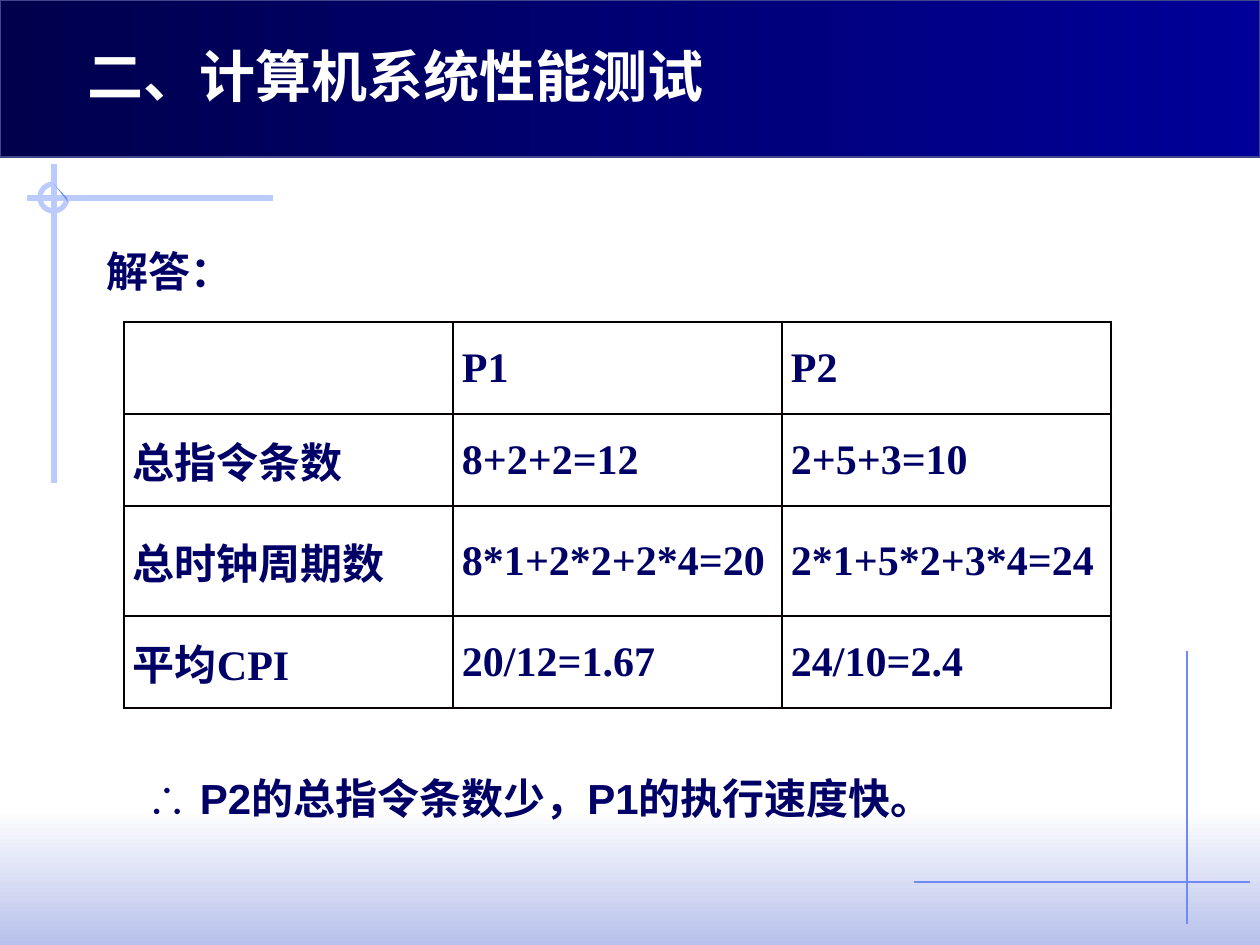
from lxml.etree import SubElement
from pptx import Presentation
from pptx.dml.color import RGBColor
from pptx.enum.shapes import MSO_CONNECTOR as Connector, MSO_SHAPE as Shape
from pptx.enum.text import MSO_ANCHOR as Anchor
from pptx.oxml.ns import qn
from pptx.util import Pt

SCALE = 914400 / 126
CJK = "Noto Sans CJK JP"
NAVY, PALE, BLUE, WHITE = "000066", "BBCBFD", "6F89F7", "FFFFFF"
ROWS = [
    ["", "P1", "P2"],
    ["总指令条数", "8+2+2=12", "2+5+3=10"],
    ["总时钟周期数", "8*1+2*2+2*4=20", "2*1+5*2+3*4=24"],
    ["平均CPI", "20/12=1.67", "24/10=2.4"],
]
ROW_HEIGHTS = [92, 92, 110, 92]


def px(*lengths):
    """Turn pixel lengths into a list of EMU."""
    return [round(length * SCALE) for length in lengths]


def color(value):
    """Turn a hex string into a colour."""
    return RGBColor.from_string(value)


def add_span(para, text, size, font, ink):
    """Add one bold run to a paragraph."""
    span = para.add_run()
    span.text = text
    span.font.size, span.font.bold, span.font.name = Pt(size), True, font
    span.font.color.rgb = color(ink)
    SubElement(span.font._element, qn("a:ea"), typeface=CJK)


def add_text(page, box, text, size, font, ink, spacing=1.0):
    """Place a wrapping one-paragraph text box."""
    frame = page.shapes.add_textbox(*px(*box)).text_frame
    frame.word_wrap = True
    para = frame.paragraphs[0]
    para.line_spacing = spacing
    add_span(para, text, size, font, ink)


def add_line(page, start, end, ink, width):
    """Draw a straight line without a shadow."""
    line = page.shapes.add_connector(Connector.STRAIGHT, *px(*start, *end))
    line.line.color.rgb, line.line.width = color(ink), Pt(width)
    SubElement(line._element.spPr, qn("a:effectLst"))


def add_gradient(page, box, inks, angle, edge=None):
    """Draw a rectangle with a two-colour gradient."""
    band = page.shapes.add_shape(Shape.RECTANGLE, *px(*box))
    band.shadow.inherit = False
    band.fill.gradient()
    band.fill.gradient_angle = angle
    for stop, ink, position in zip(band.fill.gradient_stops, inks, (0, 1)):
        stop.color.rgb, stop.position = color(ink), position
    if edge:
        band.line.color.rgb, band.line.width = color(edge), Pt(0.75)
    else:
        band.line.fill.background()


def add_target(page, left, top):
    """Draw the upper-left cross with its open ring and sliver."""
    add_line(page, (left + 246, top + 34), (left, top + 34), PALE, 3)
    add_line(page, (left + 27, top), (left + 27, top + 319), PALE, 3)
    ring = page.shapes.add_shape(Shape.ARC, *px(left + 13, top + 20, 27, 27))
    ring.shadow.inherit = False
    ring.adjustments[0], ring.adjustments[1] = 0, 162
    ring.fill.background()
    ring.line.color.rgb, ring.line.width = color(PALE), Pt(3)
    builder = page.shapes.build_freeform(left + 27, top + 20, SCALE)
    builder.add_line_segments([(left + 40, top + 34), (left + 41, top + 38)])
    sliver = builder.convert_to_shape()
    sliver.shadow.inherit = False
    sliver.fill.solid()
    sliver.fill.fore_color.rgb = color(BLUE)
    sliver.line.fill.background()


def add_corner(page, left, top):
    """Draw the thin lower-right cross."""
    add_line(page, (left + 273, top), (left + 273, top + 273), BLUE, 0.75)
    add_line(page, (left, top + 231), (left + 336, top + 231), BLUE, 0.75)


def add_header(page, left, top, width, height):
    """Draw the title band and its title."""
    add_gradient(page, (left, top, width, height), ("00004D", "000099"), 0, "40458C")
    add_text(page, (left + 75, top + 35, 1002, 81), "二、计算机系统性能测试", 32, CJK, WHITE)


def style_cell(cell, text):
    """Fill one table cell and give it thin borders."""
    cell.fill.background()
    cell.vertical_anchor = Anchor.MIDDLE
    cell.margin_left, cell.margin_right = px(9, 9)
    cell.margin_top = cell.margin_bottom = 0
    if text:
        add_span(cell.text_frame.paragraphs[0], text, 24, "Times New Roman", NAVY)
    properties = cell._tc.get_or_add_tcPr()
    for index, side in enumerate(("lnL", "lnR", "lnT", "lnB")):
        border = properties.makeelement(qn(f"a:{side}"), {"w": str(Pt(1))})
        fill = SubElement(border, qn("a:solidFill"))
        SubElement(fill, qn("a:srgbClr"), val="080000")
        properties.insert(index, border)


def add_comparison(page, left, top, width):
    """Place the table comparing both programs."""
    box = px(left, top, width, sum(ROW_HEIGHTS))
    table = page.shapes.add_table(len(ROWS), len(ROWS[0]), *box).table
    table.first_row = table.horz_banding = False
    for row, height, texts in zip(table.rows, ROW_HEIGHTS, ROWS):
        row.height = px(height)[0]
        for cell, text in zip(row.cells, texts):
            style_cell(cell, text)


def main():
    """Build and save the slide."""
    deck = Presentation()
    deck.slide_width, deck.slide_height = px(1260, 945)
    page = deck.slides.add_slide(deck.slide_layouts[6])
    add_gradient(page, (0, 809, 1260, 136), (WHITE, "B7C1EB"), 270)
    add_target(page, 27, 164)
    add_header(page, 0, 0, 1260, 157)
    add_corner(page, 914, 651)
    add_text(page, (94, 214, 1082, 101), "解答：", 24, "Arial", NAVY, 1.5)
    add_comparison(page, 124, 322, 987)
    conclusion = "∴ P2的总指令条数少，P1的执行速度快。"
    add_text(page, (134, 741, 1082, 101), conclusion, 24, "Arial", NAVY, 1.5)
    deck.save("out.pptx")


if __name__ == "__main__":
    main()
